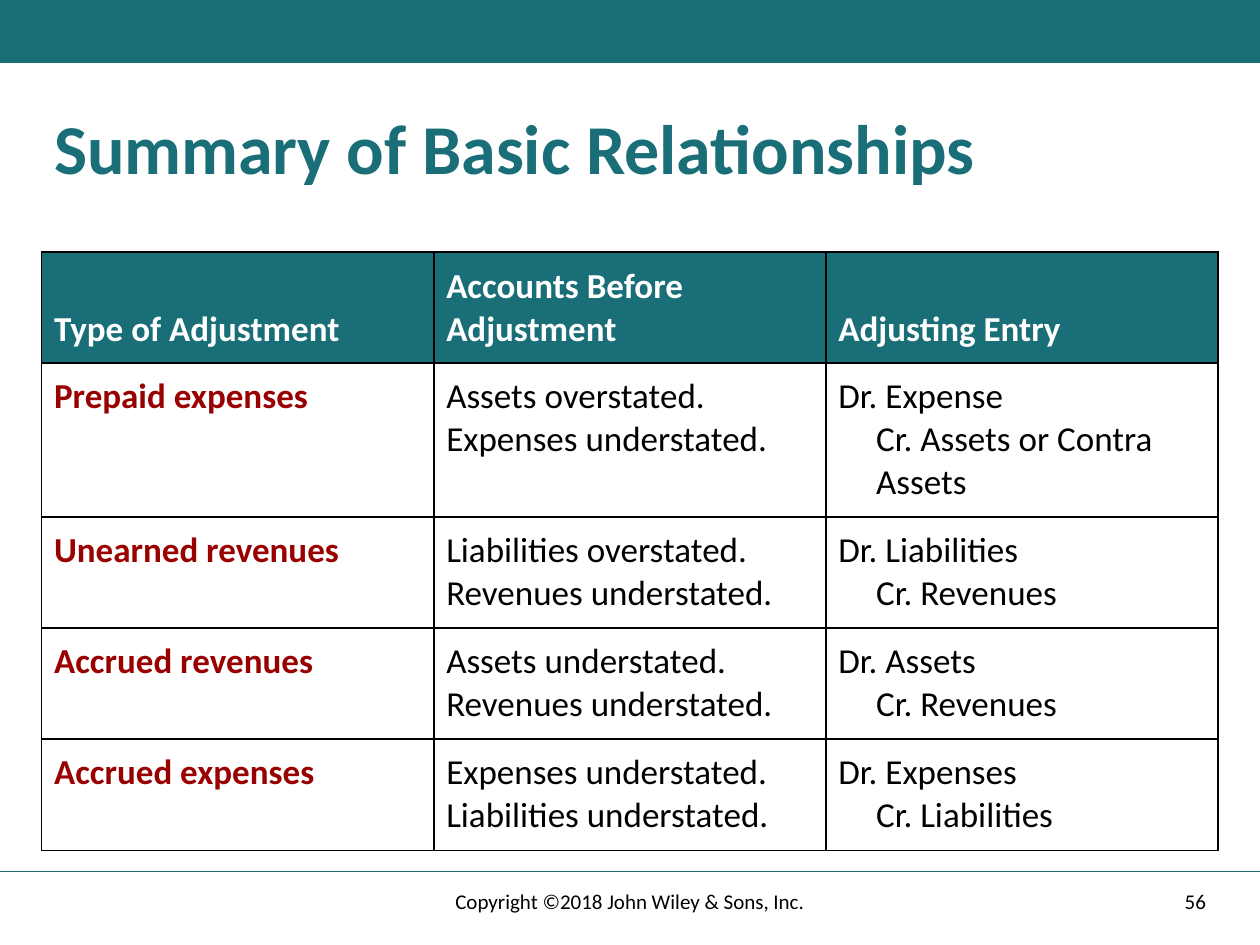
from lxml.etree import SubElement
from pptx import Presentation
from pptx.dml.color import RGBColor
from pptx.enum.shapes import MSO_CONNECTOR, MSO_SHAPE
from pptx.enum.text import MSO_ANCHOR as Anchor, PP_ALIGN as Align
from pptx.oxml.ns import qn
from pptx.util import Cm, Pt

TITLE = "Summary of Basic Relationships"
HEADERS = ["Type of Adjustment", "Accounts Before Adjustment", "Adjusting Entry"]
ADJUSTMENTS = [  # type, accounts before adjustment, (debit, credit)
    ("Prepaid expenses", ["Assets overstated.", "Expenses understated."],
     ["Dr. Expense", "Cr. Assets or Contra Assets"]),
    ("Unearned revenues", ["Liabilities overstated.", "Revenues understated."],
     ["Dr. Liabilities", "Cr. Revenues"]),
    ("Accrued revenues", ["Assets understated.", "Revenues understated."],
     ["Dr. Assets", "Cr. Revenues"]),
    ("Accrued expenses", ["Expenses understated.", "Liabilities understated."],
     ["Dr. Expenses", "Cr. Liabilities"]),
]
COPYRIGHT = "Copyright ©2018 John Wiley & Sons, Inc."
PAGE = "56"

COLORS = {"teal": "196E78", "red": "990000", "black": "000000", "white": "FFFFFF"}
FONT = "Calibri"
WIDTH, HEIGHT = Cm(25.4), Cm(19.05)
MARGIN = Cm(0.84)
CONTENT_W = WIDTH - 2 * MARGIN
ROW_H = [Cm(h) for h in (2.24, 3.1, 2.24, 2.24, 2.24)]
INSET = Cm(0.25)
CREDIT_INDENT = Cm(0.76)


def rgb(name):
    return RGBColor.from_string(COLORS[name])


def style(p, size, color, bold=False):
    for r in p.runs:
        r.font.name, r.font.size, r.font.bold = FONT, Pt(size), bold
        r.font.color.rgb = rgb(color)


def add_text(slide, text, box, size, color, bold=False, align=Align.LEFT):
    tf = slide.shapes.add_textbox(*box).text_frame
    tf.word_wrap = True
    tf.vertical_anchor = Anchor.MIDDLE
    tf.text = text
    p = tf.paragraphs[0]
    p.alignment = align
    style(p, size, color, bold)
    return p


def set_borders(cell):
    """Draw a 1 pt black line on all four sides, ahead of the cell fill."""
    tcPr = cell._tc.get_or_add_tcPr()
    for i, side in enumerate(("lnL", "lnR", "lnT", "lnB")):
        ln = SubElement(tcPr, qn("a:" + side), w=str(Pt(1)))
        fill = SubElement(ln, qn("a:solidFill"))
        SubElement(fill, qn("a:srgbClr"), val=COLORS["black"])
        tcPr.insert(i, ln)


def fill_cell(cell, lines, color, bold, fill="white", anchor=Anchor.TOP):
    cell.fill.solid()
    cell.fill.fore_color.rgb = rgb(fill)
    set_borders(cell)
    cell.margin_left = cell.margin_right = INSET
    cell.margin_top = cell.margin_bottom = INSET
    cell.vertical_anchor = anchor
    cell.text_frame.text = "\n".join(lines)
    for p in cell.text_frame.paragraphs:
        style(p, 20, color, bold)


def add_frame(slide):
    """Top band and footer rule."""
    band = slide.shapes.add_shape(MSO_SHAPE.RECTANGLE, 0, 0, WIDTH, Cm(1.27))
    band.shadow.inherit = False
    band.fill.solid()
    band.fill.fore_color.rgb = rgb("teal")
    band.line.fill.background()
    y = Cm(17.57)
    rule = slide.shapes.add_connector(MSO_CONNECTOR.STRAIGHT, 0, y, WIDTH, y)
    rule.line.color.rgb = rgb("teal")
    rule.line.width = Pt(1)
    SubElement(rule._element.spPr, qn("a:effectLst"))


def add_adjustments(slide):
    table = slide.shapes.add_table(len(ROW_H), len(HEADERS), MARGIN, Cm(5.08),
                                   CONTENT_W, sum(ROW_H)).table
    for row, height in zip(table.rows, ROW_H):
        row.height = height
    for col, header in enumerate(HEADERS):
        fill_cell(table.cell(0, col), [header], "white", True, "teal", Anchor.BOTTOM)
    for row, (kind, before, entry) in enumerate(ADJUSTMENTS, start=1):
        fill_cell(table.cell(row, 0), [kind], "red", True)
        fill_cell(table.cell(row, 1), before, "black", False)
        fill_cell(table.cell(row, 2), entry, "black", False)
        credit = table.cell(row, 2).text_frame.paragraphs[1]
        pPr = credit._p.get_or_add_pPr()
        pPr.set("marL", str(CREDIT_INDENT))
        pPr.set("indent", "0")


def main():
    prs = Presentation()
    prs.slide_width, prs.slide_height = WIDTH, HEIGHT
    s = prs.slides.add_slide(prs.slide_layouts[6])
    add_frame(s)
    title = add_text(s, TITLE, (MARGIN, Cm(2.11), CONTENT_W, Cm(1.9)), 40, "teal", True)
    title.line_spacing = 0.9
    add_adjustments(s)
    foot_y, foot_h = Cm(17.65), Cm(1.02)
    page_w, copyright_w = Cm(6.6), Cm(8.58)
    add_text(s, PAGE, (WIDTH - MARGIN - page_w, foot_y, page_w, foot_h),
             12, "black", align=Align.RIGHT)
    add_text(s, COPYRIGHT, ((WIDTH - copyright_w) // 2, foot_y, copyright_w, foot_h),
             12, "black", align=Align.CENTER)
    prs.save("out.pptx")


if __name__ == "__main__":
    main()
